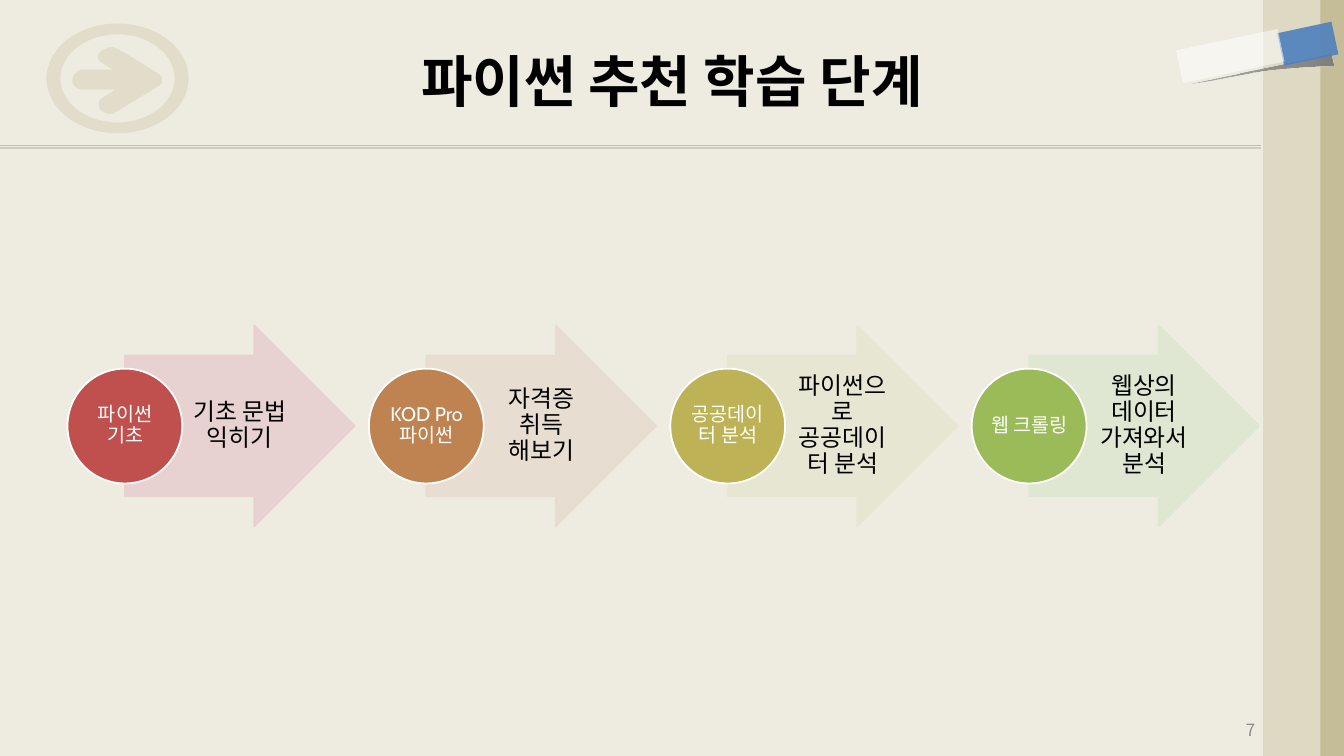
import pptx
import pptx.dml.color
import pptx.enum.shapes
import pptx.enum.text
import pptx.oxml.ns
import pptx.util
from lxml import etree

Pt = pptx.util.Pt
RGBColor = pptx.dml.color.RGBColor
PRESET = pptx.enum.shapes.MSO_SHAPE
ALIGN = pptx.enum.text.PP_ALIGN
qn = pptx.oxml.ns.qn

CREAM = RGBColor(0xEE, 0xEC, 0xE1)
KHAKI = RGBColor(0xC4, 0xBD, 0x97)
SAND = RGBColor(0xDD, 0xD9, 0xC3)
GRAY = RGBColor(0x80, 0x80, 0x80)
NUMBER_GRAY = RGBColor(0x8C, 0x8C, 0x8C)
BLUE = RGBColor(0x4F, 0x81, 0xBD)
BLACK = RGBColor(0, 0, 0)
WHITE = RGBColor(0xFF, 0xFF, 0xFF)

KOREAN_FONT = "Noto Sans CJK KR"
STEP_FONT = "Cabin"
STEP_PITCH = 215.3

# Circle label, arrow text, circle colour, arrow colour
STEPS = [
    ("파이썬 기초", "기초 문법 익히기",
     RGBColor(0xC0, 0x50, 0x4D), RGBColor(0xE8, 0xD0, 0xD0)),
    ("KOD Pro 파이썬", "자격증 취득 해보기",
     RGBColor(0xBE, 0x83, 0x51), RGBColor(0xE8, 0xDC, 0xD0)),
    ("공공데이터 분석", "파이썬으로 공공데이터 분석",
     RGBColor(0xBD, 0xB2, 0x55), RGBColor(0xE7, 0xE6, 0xD1)),
    ("웹 크롤링", "웹상의 데이터 가져와서 분석",
     RGBColor(0x9B, 0xBB, 0x59), RGBColor(0xDE, 0xE7, 0xD1)),
]

# Outlines in points: a pair is a corner, six numbers are a Bezier curve
ICON_ARROW = [
    (113, 52.6), (107.3, 49, 88.6, 36.7, 81.4, 33.8),
    (77, 33.1, 76.3, 34.6, 72.7, 36), (69.8, 37.4, 69.1, 41, 71.3, 43.9),
    (80.6, 49.7), (58.3, 49.7), (53.3, 51.1, 51.8, 54.7, 51.8, 56.9),
    (51.1, 59.8, 53.3, 63.4, 58.3, 64.1), (82.1, 64.1), (71.3, 71.3),
    (69.8, 73.4, 70.6, 77, 72, 78.5), (73.4, 79.9, 76.3, 81.4, 80.6, 81.4),
    (97.2, 71.3, 113.8, 61.2, 113.8, 61.2),
    (115.9, 59, 115.9, 58.3, 115.9, 56.9),
    (115.9, 55.4, 115.2, 54, 113, 52.6),
]
CLIP_SHADE = [
    (950.4, 38.2), (952.6, 46.8), (891.4, 49, 878.4, 56.2, 849.6, 59.8),
    (883.4, 52.6, 916.6, 46.1, 950.4, 38.2),
]


def set_alpha(element, percent):
    """Make every colour below an XML element partly transparent."""
    for color in element.iter(qn("a:srgbClr")):
        etree.SubElement(color, qn("a:alpha")).set("val", str(percent * 1000))


def style_shape(shape, fill, line=None, opacity=100):
    shape.shadow.inherit = False
    shape.fill.solid()
    shape.fill.fore_color.rgb = fill
    if line is None:
        shape.line.fill.background()
    else:
        shape.line.color.rgb = line
        shape.line.width = Pt(1.25)
    if opacity < 100:
        set_alpha(shape.element.spPr, opacity)


def add_preset(page, preset, left, top, width, height, fill, line=None,
               opacity=100, rotation=0):
    shape = page.shapes.add_shape(preset, Pt(left), Pt(top), Pt(width), Pt(height))
    shape.rotation = rotation
    style_shape(shape, fill, line, opacity)
    return shape


def ellipse_outline(x, y, radius_x, radius_y):
    """Four Bezier curves around a centre."""
    pull_x, pull_y = 0.55 * radius_x, 0.55 * radius_y
    left, right, top, bottom = x - radius_x, x + radius_x, y - radius_y, y + radius_y
    return [
        (x, top),
        (x + pull_x, top, right, y - pull_y, right, y),
        (right, y + pull_y, x + pull_x, bottom, x, bottom),
        (x - pull_x, bottom, left, y + pull_y, left, y),
        (left, y - pull_y, x - pull_x, top, x, top),
    ]


def add_outline(page, contours, fill, opacity=100):
    """Draw a freeform, then join the three points of each curve into a Bezier."""
    builder = page.shapes.build_freeform(
        Pt(contours[0][0][0]), Pt(contours[0][0][1]), scale=1.0)
    for index, (start, *parts) in enumerate(contours):
        if index:
            builder.move_to(Pt(start[0]), Pt(start[1]))
        points = [(Pt(part[i]), Pt(part[i + 1]))
                  for part in parts for i in range(0, len(part), 2)]
        builder.add_line_segments(points, close=True)
    shape = builder.convert_to_shape()
    segments = shape.element.spPr.iter(qn("a:lnTo"))
    segments = iter(list(segments))
    for part in [part for contour in contours for part in contour[1:]]:
        segment = next(segments)
        if len(part) == 6:
            segment_end = [next(segments), next(segments)]
            curve = etree.Element(qn("a:cubicBezTo"))
            segment.addprevious(curve)
            for piece in [segment, *segment_end]:
                curve.append(piece[0])
                piece.getparent().remove(piece)
    style_shape(shape, fill, opacity=opacity)
    return shape


def add_title_rule(page):
    rule = page.shapes.add_connector(
        pptx.enum.shapes.MSO_CONNECTOR.STRAIGHT, Pt(0), Pt(103.7), Pt(900.7), Pt(103.7))
    rule.line.color.rgb = KHAKI
    rule.line.width = Pt(0.75)
    effects = etree.SubElement(rule.element.spPr, qn("a:effectLst"))
    shadow = etree.SubElement(effects, qn("a:outerShdw"), blurRad="0",
                              dist=str(Pt(2)), dir="5400000", rotWithShape="0")
    etree.SubElement(shadow, qn("a:srgbClr"), val=str(BLACK))
    set_alpha(shadow, 22)


def add_text(page, text, left, top, width, height, size, color, font,
             align=ALIGN.CENTER, bold=False, insets=(7.2, 3.6, 7.2, 3.6), spacing=1.0):
    box = page.shapes.add_textbox(Pt(left), Pt(top), Pt(width), Pt(height))
    frame = box.text_frame
    frame.word_wrap = True
    frame.vertical_anchor = pptx.enum.text.MSO_ANCHOR.MIDDLE
    (frame.margin_left, frame.margin_top,
     frame.margin_right, frame.margin_bottom) = map(Pt, insets)
    frame.text = text
    para = frame.paragraphs[0]
    para.alignment = align
    para.line_spacing = spacing
    span = para.runs[0]
    span.font.size = Pt(size)
    span.font.bold = bold
    span.font.color.rgb = color
    span.font.name = font


def add_backdrop(page):
    add_title_rule(page)
    add_outline(page, [ICON_ARROW], KHAKI, 30)
    add_outline(page, [ellipse_outline(84, 56, 50.8, 39.2),
                       ellipse_outline(84, 56, 40.8, 31.5)], KHAKI, 30)
    add_preset(page, PRESET.RECTANGLE, 903.4, 0, 56.6, 540, KHAKI)
    add_preset(page, PRESET.RECTANGLE, 902.2, 0, 41, 540, SAND)


def add_clip(page):
    shade = add_outline(page, [CLIP_SHADE], GRAY)
    shade.fill.gradient()
    shade.fill.gradient_angle = 0
    for stop in shade.fill.gradient_stops:
        stop.color.rgb = GRAY
    set_alpha(shade.element.spPr.find(".//" + qn("a:gs")), 56)
    add_preset(page, PRESET.RECTANGLE, 922.3, 11.5, 23.8, 39.6, BLUE,
               opacity=90, rotation=78)
    add_preset(page, PRESET.RECTANGLE, 866.9, 2.9, 23.8, 74.2, WHITE,
               opacity=50, rotation=78)


def add_step(page, left, label, detail, circle_color, arrow_color):
    arrow = add_preset(page, PRESET.RIGHT_ARROW, left + 41, 232.5, 164.2, 143.5,
                       arrow_color, arrow_color, 90)
    arrow.adjustments[0] = 0.7
    arrow.adjustments[1] = 0.5
    add_text(page, detail, left + 82, 254.2, 80, 100, 17, BLACK, STEP_FONT,
             insets=(3.6, 0.7, 1.4, 0.7), spacing=0.9)
    add_preset(page, PRESET.OVAL, left, 263.3, 82, 82, circle_color, WHITE)
    add_text(page, label, left + 12, 275, 58.3, 58.3, 14, WHITE, STEP_FONT,
             insets=(0.7, 0.7, 0.7, 0.7), spacing=0.9)


def main():
    deck = pptx.Presentation()
    deck.slide_width = Pt(960)
    deck.slide_height = Pt(540)
    page = deck.slides.add_slide(deck.slide_layouts[6])
    page.background.fill.solid()
    page.background.fill.fore_color.rgb = CREAM
    add_backdrop(page)
    add_clip(page)
    add_text(page, "7", 679.7, 509.5, 223.9, 23.8, 12, NUMBER_GRAY, KOREAN_FONT,
             align=ALIGN.RIGHT)
    add_text(page, "파이썬 추천 학습 단계", 48, 12, 864, 90, 40, BLACK, KOREAN_FONT,
             bold=True)
    for index, step in enumerate(STEPS):
        add_step(page, 48.2 + index * STEP_PITCH, *step)
    deck.save("out.pptx")


if __name__ == "__main__":
    main()
